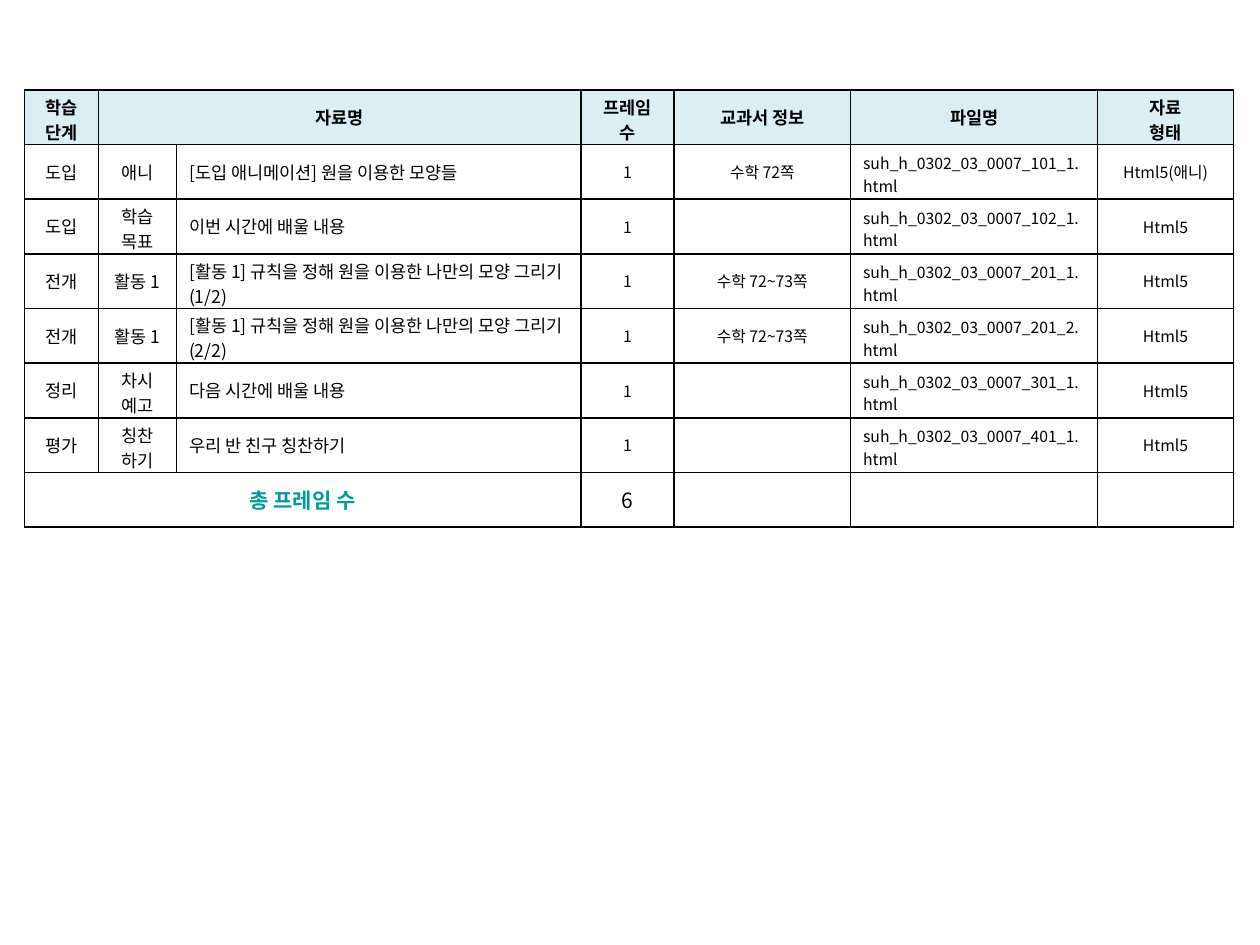
from dataclasses import dataclass

import lxml.etree
import pptx
import pptx.dml.color
import pptx.enum.text
import pptx.oxml.ns
import pptx.util

Cm = pptx.util.Cm
Pt = pptx.util.Pt
qn = pptx.oxml.ns.qn
RGB = pptx.dml.color.RGBColor.from_string
Align = pptx.enum.text.PP_ALIGN


@dataclass(frozen=True)
class Theme:
    font: str = "Noto Sans CJK KR"
    ink: str = "000000"
    accent: str = "009999"
    header: str = "DBEEF4"
    small: int = 9
    body: int = 10
    total: int = 12
    border: int = 1


THEME = Theme()
COLUMN_WIDTHS = [1.5, 1.57, 8.15, 1.88, 3.56, 4.98, 2.74]
COLUMN_SIZES = [THEME.body] * 3 + [THEME.small] * 4
COLUMN_ALIGNMENTS = [Align.CENTER, Align.CENTER, Align.LEFT, Align.CENTER,
                     Align.CENTER, Align.JUSTIFY, Align.CENTER]
TWO_LINE_MARGINS = {THEME.body: (0.08, 0), THEME.small: (0.13, 0.04)}
HEADERS = ["학습 단계", "자료명", "", "프레임 수", "교과서 정보", "파일명", "자료\n형태"]
LESSON_STEPS = [
    ("도입", "애니", "[도입 애니메이션] 원을 이용한 모양들", "수학 72쪽", "101_1", "Html5(애니)"),
    ("도입", "학습 목표", "이번 시간에 배울 내용", "", "102_1", "Html5"),
    ("전개", "활동 1", "[활동 1] 규칙을 정해 원을 이용한 나만의 모양 그리기 (1/2)",
     "수학 72~73쪽", "201_1", "Html5"),
    ("전개", "활동 1", "[활동 1] 규칙을 정해 원을 이용한 나만의 모양 그리기 (2/2)",
     "수학 72~73쪽", "201_2", "Html5"),
    ("정리", "차시 예고", "다음 시간에 배울 내용", "", "301_1", "Html5"),
    ("평가", "칭찬\n하기", "우리 반 친구 칭찬하기", "", "401_1", "Html5"),
]
TOTALS = ["총 프레임 수", "", "", str(len(LESSON_STEPS)), "", "", ""]
WRAPPING_LABELS = {"학습 단계", "프레임 수", "학습 목표", "차시 예고"}


def takes_two_lines(text):
    return (text in WRAPPING_LABELS or "\n" in text
            or text.startswith("[활동") or text.endswith(".html"))


def draw_borders(cell):
    sides = ("lnT", "lnB") if cell.is_spanned else ("lnL", "lnR", "lnT", "lnB")
    properties = cell._tc.get_or_add_tcPr()
    for side in sides:
        line = lxml.etree.SubElement(properties, qn(f"a:{side}"), w=str(Pt(THEME.border)))
        fill = lxml.etree.SubElement(line, qn("a:solidFill"))
        lxml.etree.SubElement(fill, qn("a:srgbClr"), val=THEME.ink)


def write_cell(cell, text, size, alignment, color=THEME.ink, bold=False):
    cell.vertical_anchor = pptx.enum.text.MSO_ANCHOR.MIDDLE
    if takes_two_lines(text):
        margin_top, margin_bottom = TWO_LINE_MARGINS[size]
        cell.margin_top = Cm(margin_top)
        cell.margin_bottom = Cm(margin_bottom)
    frame = cell.text_frame
    for index, line in enumerate(text.split("\n")):
        paragraph = frame.add_paragraph() if index else frame.paragraphs[0]
        paragraph.alignment = alignment
        if not line:
            lxml.etree.SubElement(paragraph._p, qn("a:endParaRPr"), sz=str(size * 100))
            continue
        run = paragraph.add_run()
        run.text = line
        run.font.size = Pt(size)
        run.font.bold = bold
        run.font.color.rgb = RGB(color)
        run.font.name = THEME.font
        run.font._element.set("kern", "0")
        lxml.etree.SubElement(run.font._element, qn("a:ea"), typeface=THEME.font)


def style_cell(cell, fill_color=None):
    draw_borders(cell)
    if fill_color:
        cell.fill.solid()
        cell.fill.fore_color.rgb = RGB(fill_color)
    else:
        cell.fill.background()


def add_lesson_table(slide, left, top, width, height):
    row_count = len(LESSON_STEPS) + 2
    table = slide.shapes.add_table(row_count, len(COLUMN_WIDTHS), Cm(left), Cm(top),
                                   Cm(width), Cm(height)).table
    table.first_row = False
    table.horz_banding = False
    for column, column_width in zip(table.columns, COLUMN_WIDTHS):
        column.width = Cm(width * column_width / sum(COLUMN_WIDTHS))
    for row in table.rows:
        row.height = Cm(height / row_count)
    last_row = row_count - 1
    table.cell(0, 1).merge(table.cell(0, 2))
    table.cell(last_row, 0).merge(table.cell(last_row, 2))

    for column, text in enumerate(HEADERS):
        cell = table.cell(0, column)
        style_cell(cell, THEME.header)
        write_cell(cell, text, THEME.body, Align.CENTER, bold=True)

    for row, (stage, activity, title, pages, file_number, kind) in enumerate(LESSON_STEPS, 1):
        file_name = f"suh_h_0302_03_0007_{file_number}.html"
        values = [stage, activity, title, "1", pages, file_name, kind]
        for column, text in enumerate(values):
            cell = table.cell(row, column)
            style_cell(cell)
            write_cell(cell, text, COLUMN_SIZES[column], COLUMN_ALIGNMENTS[column])

    for column, text in enumerate(TOTALS):
        cell = table.cell(last_row, column)
        is_label = column == 0
        style_cell(cell)
        write_cell(cell, text, THEME.total, Align.CENTER,
                   THEME.accent if is_label else THEME.ink, is_label)


def main():
    presentation = pptx.Presentation()
    presentation.slide_width = Cm(25.4)
    presentation.slide_height = Cm(19.05)
    slide = presentation.slides.add_slide(presentation.slide_layouts[6])
    add_lesson_table(slide, left=0.49, top=1.81, width=24.38, height=8.82)
    presentation.save("out.pptx")


if __name__ == "__main__":
    main()
